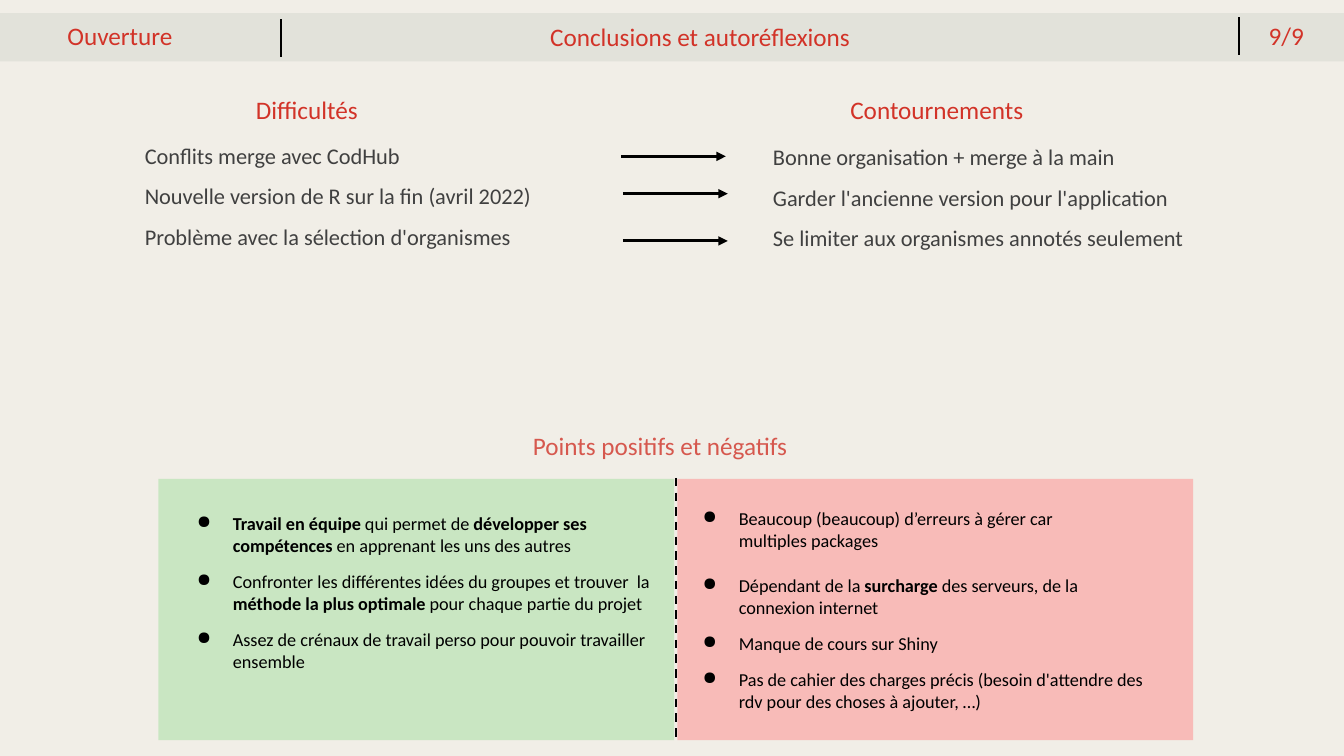
from lxml.etree import SubElement
from pptx import Presentation
from pptx.dml.color import RGBColor
from pptx.enum.dml import MSO_LINE
from pptx.enum.shapes import MSO_CONNECTOR, MSO_SHAPE
from pptx.enum.text import MSO_ANCHOR, MSO_AUTO_SIZE, PP_ALIGN
from pptx.oxml.ns import qn
from pptx.util import Cm, Pt

FONT = "Calibri"
BACKGROUND = RGBColor(0xF1, 0xEE, 0xE7)
BAND = RGBColor(0xE2, 0xE2, 0xDA)
RED = RGBColor(0xD2, 0x33, 0x28)
SOFT_RED = RGBColor(0xD6, 0x58, 0x4E)
GREY = RGBColor(0x40, 0x40, 0x40)
BLACK = RGBColor(0, 0, 0)
GREEN = RGBColor(0xA9, 0xE1, 0xA5)
PINK = RGBColor(0xFF, 0x96, 0x96)

# Content: (text, left, top, width, colour), lengths in cm
TITLE = ("Conclusions et autoréflexions", 13.61, 0.41, 9.04, RED)
HEADINGS = [
    ("Ouverture", 1.45, 0.38, 3.58, RED),
    ("9/9", 31.72, 0.38, 1.57, RED),
    ("Difficultés", 6.2, 2.24, 3.4, RED),
    ("Contournements", 21.18, 2.26, 5.28, RED),
    ("Points positifs et négatifs", 13.18, 10.72, 7.8, SOFT_RED),
]
DIFFICULTIES = [
    "Conflits merge avec CodHub",
    "Nouvelle version de R sur la fin (avril 2022)",
    "Problème avec la sélection d'organismes",
]
WORKAROUNDS = [
    "Bonne organisation + merge à la main",
    "Garder l'ancienne version pour l'application",
    "Se limiter aux organismes annotés seulement",
]
# Each point: (space before in pt, right margin in cm, runs as (text, bold))
POSITIVES = [
    (0, 0, [("Travail en équipe ", True), ("qui permet de ", False),
            ("développer ses compétences ", True),
            ("en apprenant les uns des autres", False)]),
    (10, 0, [("Confronter les différentes idées du groupes et trouver  la ", False),
             ("méthode la plus optimale ", True),
             ("pour chaque partie du projet", False)]),
    (10, 0, [("Assez de crénaux de travail perso pour pouvoir travailler ensemble", False)]),
]
NEGATIVES = [
    (0, 1.5, [("Beaucoup (beaucoup) d’erreurs à gérer car multiples packages", False)]),
    (17, 1.5, [("Dépendant de la ", False), ("surcharge ", True),
               ("des serveurs, de la connexion internet", False)]),
    (10, 0, [("Manque de cours sur Shiny", False)]),
    (10, 0, [("Pas de cahier des charges précis (besoin d'attendre des rdv "
              "pour des choses à ajouter, …)", False)]),
]

# Layout
HEADING_HEIGHT = 1.02
HEADER_RULES = [(7.09, 0.48), (31.22, 0.43)]
RULE_LENGTH = 0.95
ARROWS = [(15.65, 3.94), (15.7, 4.88), (15.7, 6.07)]
ARROW_LENGTH = 2.64
PANEL_TOP, PANEL_WIDTH, PANEL_HEIGHT = 12.07, 13, 6.58
DIVIDER_X = 17.04

prs = Presentation()
prs.slide_width, prs.slide_height = Cm(33.87), Cm(19.05)
slide = prs.slides.add_slide(prs.slide_layouts[5])
slide.background.fill.solid()
slide.background.fill.fore_color.rgb = BACKGROUND
shapes = slide.shapes


def add_run(paragraph, text, size, color, bold=False):
    run = paragraph.add_run()
    run.text = text
    run.font.name, run.font.size, run.font.bold = FONT, Pt(size), bold
    run.font.color.rgb = color


def add_box(left, top, width, height):
    box = shapes.add_textbox(Cm(left), Cm(top), Cm(width), Cm(height))
    box.text_frame.word_wrap = True
    return box.text_frame


def next_paragraph(frame, index):
    return frame.add_paragraph() if index else frame.paragraphs[0]


def add_rectangle(left, top, width, height, color, opacity=100):
    rectangle = shapes.add_shape(MSO_SHAPE.RECTANGLE, Cm(left), Cm(top), Cm(width), Cm(height))
    rectangle.shadow.inherit = False
    rectangle.line.fill.background()
    rectangle.fill.solid()
    rectangle.fill.fore_color.rgb = color
    if opacity < 100:
        rgb = rectangle.fill._xPr.find(".//" + qn("a:srgbClr"))
        SubElement(rgb, qn("a:alpha"), val=str(opacity * 1000))
    return rectangle


def add_line(x1, y1, x2, y2, width=1.5):
    line = shapes.add_connector(MSO_CONNECTOR.STRAIGHT, Cm(x1), Cm(y1), Cm(x2), Cm(y2))
    line.line.color.rgb = BLACK
    line.line.width = Pt(width)
    SubElement(line._element.spPr, qn("a:effectLst"))
    return line


def add_column(left, top, width, lines):
    frame = add_box(left, top, width, 3.2)
    for index, text in enumerate(lines):
        paragraph = next_paragraph(frame, index)
        paragraph.line_spacing = 1.5
        add_run(paragraph, text, 16, GREY)


def add_points(left, top, width, height, points):
    frame = add_box(left, top, width, height)
    frame.margin_left = frame.margin_right = frame.margin_top = frame.margin_bottom = 0
    for index, (space, right_margin, runs) in enumerate(points):
        paragraph = next_paragraph(frame, index)
        properties = paragraph._p.get_or_add_pPr()
        properties.set("marL", str(Cm(0.94)))
        properties.set("marR", str(Cm(right_margin)))
        properties.set("indent", str(Cm(-0.91)))
        SubElement(properties, qn("a:buChar"), char="●")
        paragraph.space_before = Pt(space)
        for text, bold in runs:
            add_run(paragraph, text, 13, BLACK, bold)


# Header band, behind the title
band = add_rectangle(0, 0.33, 33.87, 1.22, BAND)
shapes._spTree.insert(2, band._element)
for x, y in HEADER_RULES:
    add_line(x, y, x, y + RULE_LENGTH)

# Title
text, left, top, width, color = TITLE
title = shapes.title
title.left, title.top = Cm(left), Cm(top)
title.width, title.height = Cm(width), Cm(HEADING_HEIGHT)
title_frame = title.text_frame
title_frame.auto_size = MSO_AUTO_SIZE.NONE
title_frame.vertical_anchor = MSO_ANCHOR.TOP
title_frame.paragraphs[0].alignment = PP_ALIGN.LEFT
add_run(title_frame.paragraphs[0], text, 18, color)

# Headings
for text, left, top, width, color in HEADINGS:
    add_run(add_box(left, top, width, HEADING_HEIGHT).paragraphs[0], text, 18, color)

# Difficulties and their workarounds
add_column(3.4, 3.12, 11.56, DIFFICULTIES)
add_column(19.23, 3.15, 12.27, WORKAROUNDS)
for x, y in ARROWS:
    arrow = add_line(x, y, x + ARROW_LENGTH, y, 2.25)
    SubElement(arrow.line._get_or_add_ln(), qn("a:tailEnd"), type="triangle")

# Positive and negative points
divider = add_line(DIVIDER_X, 12.04, DIVIDER_X, 18.62)
divider.line.dash_style = MSO_LINE.DASH
add_rectangle(3.99, PANEL_TOP, PANEL_WIDTH, PANEL_HEIGHT, GREEN, 55)
add_rectangle(17.07, PANEL_TOP, PANEL_WIDTH, PANEL_HEIGHT, PINK, 57)
add_points(4.93, 12.92, 11.81, 4.65, POSITIVES)
add_points(17.68, 12.78, 11.53, 5.26, NEGATIVES)

prs.save("out.pptx")
